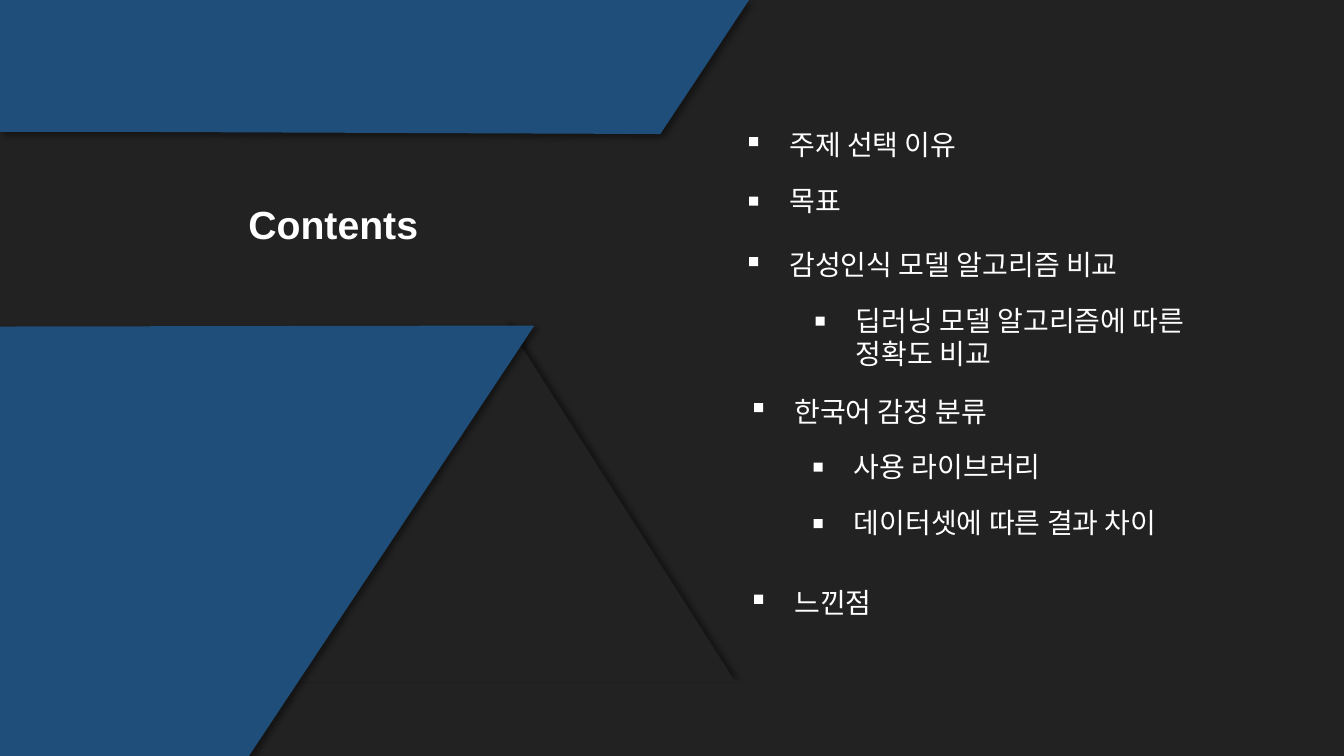
from lxml import etree
from pptx import Presentation
from pptx.dml.color import RGBColor
from pptx.enum.shapes import MSO_SHAPE
from pptx.enum.text import MSO_ANCHOR, MSO_AUTO_SIZE, PP_ALIGN
from pptx.oxml.ns import qn
from pptx.util import Inches, Pt

COLORS = {"dark": "222222", "blue": "1E4E79", "white": "FFFFFF", "shadow": "000000"}
FONT = "Arial"
MARKER = 0.09
MARKER_GAP = 0.3

TOP_BAND = [(0, 0), (7.43, 0), (6.55, 1.33), (1.55, 1.31), (0, 1.31)]
BOTTOM_BAND = [(0, 0.01), (5.3, 0), (2.47, 4.27), (0, 4.27)]

# text, left, top, width, height, marker drop
ENTRIES = [
    ("주제 선택 이유", 0.3, 0, 2.06, 0.44, 0.14),
    ("목표", 0.3, 0.55, 2.61, 0.44, 0.18),
    ("감성인식 모델 알고리즘 비교", 0.3, 1.19, 4.57, 0.44, 0.14),
    ("딥러닝 모델 알고리즘에 따른 정확도 비교", 0.96, 1.74, 4.1, 0.78, 0.18),
    ("한국어 감정 분류", 0.35, 2.64, 3.46, 0.55, 0.14),
    ("사용 라이브러리", 0.94, 3.19, 3.46, 0.44, 0.18),
    ("데이터셋에 따른 결과 차이", 0.94, 3.75, 3.94, 0.44, 0.18),
    ("느낀점", 0.35, 4.54, 3.46, 0.55, 0.14),
]


def color(name):
    return RGBColor.from_string(COLORS[name])


def paint(shape, name):
    shape.fill.solid()
    shape.fill.fore_color.rgb = color(name)
    shape.line.fill.background()
    shape.shadow.inherit = False


def cast_shadow(shape, angle):
    effects = shape.element.spPr.find(qn("a:effectLst"))
    shadow = etree.SubElement(
        effects, qn("a:outerShdw"), blurRad=str(Pt(4)), dist=str(Pt(3)),
        dir=str(angle * 60000), algn="ctr", rotWithShape="0")
    tint = etree.SubElement(shadow, qn("a:srgbClr"), val=COLORS["shadow"])
    etree.SubElement(tint, qn("a:alpha"), val="40000")


def write(shape, text, size, bold=False):
    frame = shape.text_frame
    frame.text = text
    frame.word_wrap = True
    frame.auto_size = MSO_AUTO_SIZE.NONE
    frame.vertical_anchor = MSO_ANCHOR.TOP
    font = frame.paragraphs[0].runs[0].font
    font.name, font.size, font.bold = FONT, Pt(size), bold
    font.color.rgb = color("white")


def add_triangle(page, left, top, width, height):
    triangle = page.shapes.add_shape(
        MSO_SHAPE.ISOSCELES_TRIANGLE,
        Inches(left), Inches(top), Inches(width), Inches(height))
    paint(triangle, "dark")
    cast_shadow(triangle, 315)


def add_band(page, left, top, outline):
    points = [(Inches(left + x), Inches(top + y)) for x, y in outline]
    builder = page.shapes.build_freeform(*points[0])
    builder.add_line_segments(points[1:], close=True)
    band = builder.convert_to_shape()
    paint(band, "blue")
    cast_shadow(band, 45)


def add_title(page, left, top, width, height):
    title = page.shapes.title
    title.left, title.top = Inches(left), Inches(top)
    title.width, title.height = Inches(width), Inches(height)
    write(title, "Contents", 28, bold=True)
    title.text_frame.paragraphs[0].alignment = PP_ALIGN.CENTER


def add_contents(page, left, top):
    for text, x, y, width, height, drop in ENTRIES:
        box = page.shapes.add_textbox(
            Inches(left + x), Inches(top + y), Inches(width), Inches(height))
        write(box, text, 20)
        marker = page.shapes.add_shape(
            MSO_SHAPE.RECTANGLE, Inches(left + x - MARKER_GAP),
            Inches(top + y + drop), Inches(MARKER), Inches(MARKER))
        paint(marker, "white")


def main():
    deck = Presentation()
    deck.slide_width, deck.slide_height = Inches(13.33), Inches(7.5)
    page = deck.slides.add_slide(deck.slide_layouts[5])
    page.background.fill.solid()
    page.background.fill.fore_color.rgb = color("dark")
    add_triangle(page, 2.79, 3.23, 4.5, 3.53)
    add_band(page, 0, 0, TOP_BAND)
    add_band(page, 0, 3.23, BOTTOM_BAND)
    add_title(page, 1.84, 1.94, 2.93, 0.57)
    add_contents(page, 7.43, 1.22)
    deck.save("out.pptx")


if __name__ == "__main__":
    main()
